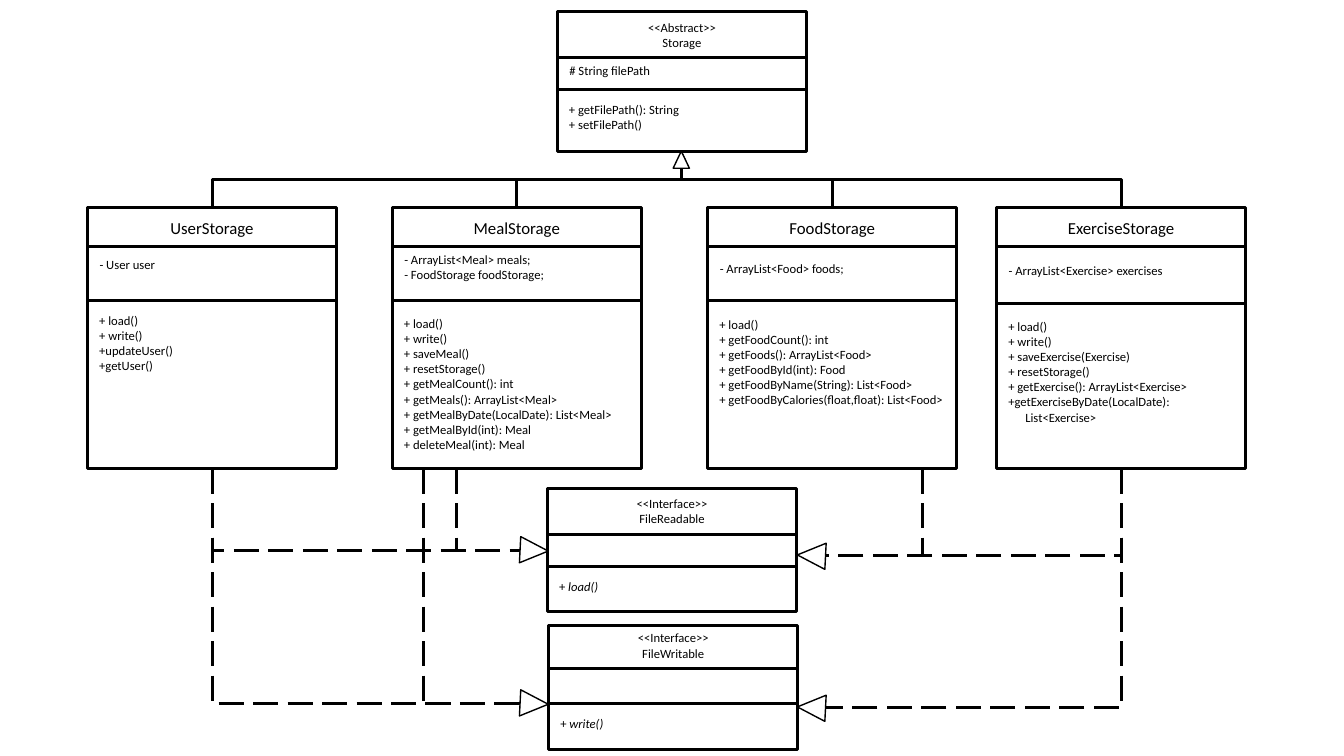
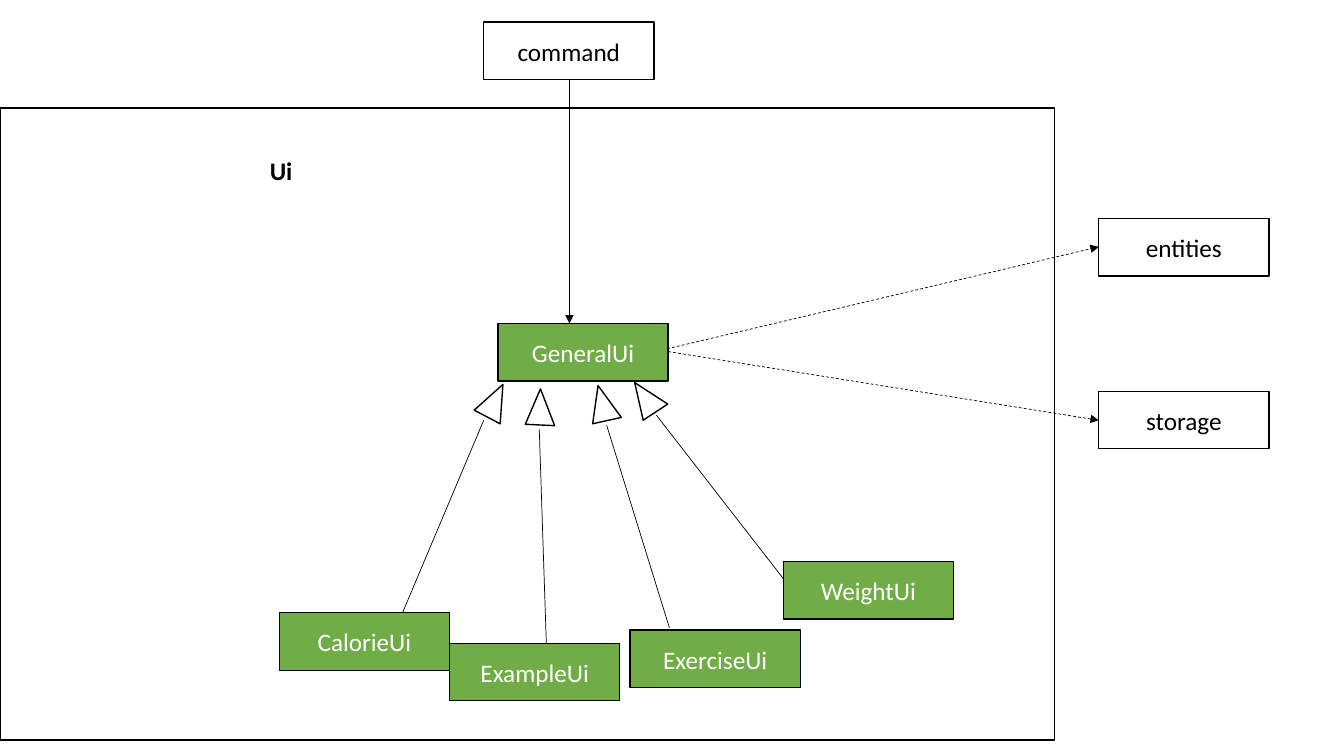
import pptx
import pptx.util
import pptx.dml.color
import pptx.enum.dml
import pptx.enum.shapes
import pptx.enum.text
import pptx.oxml.ns
import lxml.etree

Cm = pptx.util.Cm
Pt = pptx.util.Pt
Kind = pptx.enum.shapes.MSO_SHAPE
Link = pptx.enum.shapes.MSO_CONNECTOR
Dash = pptx.enum.dml.MSO_LINE
Align = pptx.enum.text.PP_ALIGN
qn = pptx.oxml.ns.qn

INK = {"black": "000000", "white": "FFFFFF", "green": "70AD47"}
FONT = "Calibri"
SMALL, MEDIUM, LARGE = 9, 12, 18
THIN, FINE, THICK = 0.5, 1, 2.25
CARD_W = 6.27
NODE_W, NODE_H = 4.29, 1.45


def tint(name):
    return pptx.dml.color.RGBColor.from_string(INK[name])


def write(frame, lines, size=SMALL, color="black", bold=False, italic=False, align=Align.LEFT):
    frame.word_wrap = True
    for i, line in enumerate(lines):
        para = frame.paragraphs[0] if i == 0 else frame.add_paragraph()
        para.alignment = align
        sign, name = (line[:2], line[2:]) if italic else (line, "")
        for part, slant in ((sign, False), (name, True)):
            if part:
                run = para.add_run()
                run.text = part
                run.font.name = FONT
                run.font.size = Pt(size)
                run.font.bold = bold
                run.font.italic = slant
                run.font.color.rgb = tint(color)


class Board:
    def __init__(self):
        self.deck = pptx.Presentation()
        self.deck.slide_width = Cm(33.87)
        self.deck.slide_height = Cm(19.05)

    def start(self):
        self.slide = self.deck.slides.add_slide(self.deck.slide_layouts[6])

    def shape(self, x, y, w, h, kind=Kind.RECTANGLE, fill="white", width=FINE, turn=0):
        item = self.slide.shapes.add_shape(kind, Cm(x), Cm(y), Cm(w), Cm(h))
        item.shadow.inherit = False
        item.fill.solid()
        item.fill.fore_color.rgb = tint(fill)
        item.line.color.rgb = tint("black")
        item.line.width = Pt(width)
        item.rotation = turn
        return item

    def head(self, x, y, w, h, turn=0):
        return self.shape(x, y, w, h, kind=Kind.ISOSCELES_TRIANGLE, turn=turn)

    def text(self, x, y, w, lines, size=SMALL, **style):
        high = 0.25 + len(lines) * size * 0.043
        item = self.slide.shapes.add_textbox(Cm(x), Cm(y), Cm(w), Cm(high))
        write(item.text_frame, lines, size=size, **style)
        return item.text_frame

    def node(self, x, y, name, fill="white", color="black"):
        frame = self.shape(x, y, NODE_W, NODE_H, fill=fill).text_frame
        frame.vertical_anchor = pptx.enum.text.MSO_ANCHOR.MIDDLE
        write(frame, [name], size=LARGE, color=color, align=Align.CENTER)

    def line(self, x1, y1, x2, y2, width=THICK, dash=None, arrow=False, link=Link.STRAIGHT):
        item = self.slide.shapes.add_connector(link, Cm(x1), Cm(y1), Cm(x2), Cm(y2))
        item.line.color.rgb = tint("black")
        item.line.width = Pt(width)
        if dash:
            item.line.dash_style = dash
        props = item._element.spPr
        if arrow:
            tail = lxml.etree.SubElement(props.find(qn("a:ln")), qn("a:tailEnd"))
            tail.set("type", "triangle")
        lxml.etree.SubElement(props, qn("a:effectLst"))
        return item

    def bend(self, x1, y1, x2, y2, corner=False, dash=None):
        right, rise = x2 > x1, y2 < y1
        mid_x, mid_y = (x1 + x2) / 2, (y1 + y2) / 2
        half_w = abs(y2 - y1) / 2 * (1 if right else -1)
        half_h = abs(x2 - x1) / 2 * (1 if rise else -1)
        item = self.line(mid_x + half_w, mid_y + half_h, mid_x - half_w, mid_y - half_h,
                         dash=dash, arrow=True, link=Link.ELBOW)
        props = item._element.spPr
        turn = 90 if right == rise else 270
        props.find(qn("a:xfrm")).set("rot", str(turn * 60000))
        if corner:
            props.find(qn("a:prstGeom")).set("prst", "bentConnector2")

    def card(self, x, y, h, cuts, title, fields, deeds, size=SMALL, italic=False):
        self.shape(x, y, CARD_W, h, width=THICK)
        for cut in cuts:
            self.line(x, cut, x + CARD_W, cut)
        title_y, names = title
        self.text(x, title_y, CARD_W, names, size=size, align=Align.CENTER)
        if fields:
            field_y, names = fields
            self.text(x + 0.05, field_y, CARD_W, names)
        deed_y, names = deeds
        return self.text(x + 0.04, deed_y, CARD_W, names, italic=italic)


def draw_base(board):
    board.card(14.05, 0.28, 3.53, cuts=(1.44, 2.25),
               title=(0.38, ["<<Abstract>>", "Storage"]),
               fields=(1.45, ["# String filePath"]),
               deeds=(2.44, ["+ getFilePath(): String", "+ setFilePath()"]))


def draw_roles(board):
    roles = (
        (13.8, 12.3, (13.46, 14.27), 12.37, "FileReadable", 14.45, "+ load()"),
        (13.83, 15.76, (16.84, 17.73), 15.76, "FileWritable", 17.91, "+ write()"),
    )
    for x, y, cuts, title_y, name, deed_y, deed in roles:
        board.card(x, y, 3.12, cuts, title=(title_y, ["<<Interface>>", name]),
                   fields=None, deeds=(deed_y, [deed]), italic=True)


STORE_Y, STORE_H = 5.23, 6.58
STORE_END = STORE_Y + STORE_H
STORES = (
    {"x": 2.21, "cut": 7.57, "name": "UserStorage",
     "fields": (6.35, ["- User user"]),
     "deeds": (7.75, ["+ load()", "+ write()", "+updateUser()", "+getUser()"])},
    {"x": 9.89, "cut": 7.57, "name": "MealStorage",
     "fields": (6.22, ["- ArrayList<Meal> meals;", "- FoodStorage foodStorage;"]),
     "deeds": (7.83, ["+ load()", "+ write()", "+ saveMeal()", "+ resetStorage()",
                      "+ getMealCount(): int",
                      "+ getMeals(): ArrayList<Meal>",
                      "+ getMealByDate(LocalDate): List<Meal>",
                      "+ getMealById(int): Meal",
                      "+ deleteMeal(int): Meal"])},
    {"x": 17.84, "cut": 7.57, "name": "FoodStorage",
     "fields": (6.44, ["- ArrayList<Food> foods;"]),
     "deeds": (7.85, ["+ load()",
                      "+ getFoodCount(): int",
                      "+ getFoods(): ArrayList<Food>",
                      "+ getFoodById(int): Food",
                      "+ getFoodByName(String): List<Food>",
                      "+ getFoodByCalories(float,float): List<Food>"])},
    {"x": 25.12, "cut": 7.65, "name": "ExerciseStorage",
     "fields": (6.5, ["- ArrayList<Exercise> exercises"]),
     "deeds": (7.9, ["+ load()", "+ write()", "+ saveExercise(Exercise)",
                     "+ resetStorage()",
                     "+ getExercise(): ArrayList<Exercise>",
                     "+getExerciseByDate(LocalDate):",
                     "List<Exercise>"])},
)


def draw_stores(board):
    tip_x, tip_y = 17.17, 3.81
    for store in STORES:
        frame = board.card(store["x"], STORE_Y, STORE_H, cuts=(6.21, store["cut"]),
                           title=(5.36, [store["name"]]), fields=store["fields"],
                           deeds=store["deeds"], size=MEDIUM)
        for para in frame.paragraphs:
            if para.text == "List<Exercise>":
                para._p.get_or_add_pPr().set("marL", str(Cm(0.43)))
        board.bend(store["x"] + CARD_W / 2, STORE_Y, tip_x, tip_y)
    head_w = 0.41
    board.head(tip_x - head_w / 2, tip_y, head_w, 0.43)


def draw_links(board):
    head_w, head_h = 0.66, 0.71
    read_left, read_right = 13.87, 14
    write_left, write_right = 17.73, 17.83
    left_tip, right_tip = 13.79, 20.12
    user_x = STORES[0]["x"] + CARD_W / 2
    sport_x = STORES[-1]["x"] + CARD_W / 2
    sides = (
        (user_x, left_tip, left_tip - head_w, 92.8, (read_left, write_left)),
        (sport_x, right_tip, right_tip, 272.8, (read_right, write_right)),
    )
    for x, tip_x, head_x, turn, levels in sides:
        for y in levels:
            board.bend(x, STORE_END, tip_x, y, corner=True, dash=Dash.LONG_DASH)
            board.head(head_x, y - head_h / 2, head_w, head_h, turn)
    meal_read, meal_write, food_read = 11.51, 10.67, 23.24
    for x, y in ((meal_read, read_left), (meal_write, write_left), (food_read, read_right)):
        board.line(x, STORE_END, x, y, dash=Dash.LONG_DASH)


def draw_ui(board):
    board.shape(0, 2.72, 26.57, 15.93)
    board.text(6.55, 3.78, 6.93, ["Ui"], size=LARGE, bold=True)

    kids = (
        ((19.84, 14.71, 16.54, 10.46), (15.9, 9.55), 326.8),
        ((13.77, 16.28, 13.59, 10.82), (13.26, 9.8), 2.7),
        ((10.11, 15.52, 12.19, 10.59), (12.12, 9.65), 27.7),
        ((16.87, 15.82, 15.29, 10.72), (14.83, 9.7), 347.6),
    )
    for ends, spot, turn in kids:
        board.line(*ends, width=THIN)
        board.head(*spot, 0.74, 0.91, turn).adjustments[0] = 0.46

    outer = ((12.19, 0.56, "command"), (27.69, 9.86, "storage"), (27.69, 5.51, "entities"))
    for x, y, name in outer:
        board.node(x, y, name)
    inner = ((12.55, 8.15, "GeneralUi"), (11.33, 16.21, "ExampleUi"),
             (7.04, 15.44, "CalorieUi"), (15.88, 15.88, "ExerciseUi"),
             (19.74, 14.15, "WeightUi"))
    for x, y, name in inner:
        board.node(x, y, name, fill="green", color="white")

    calls = (((14.35, 2.01, 14.35, 8.15), None),
             ((16.81, 8.79, 27.69, 6.22), Dash.DASH),
             ((16.84, 8.86, 27.69, 10.59), Dash.DASH))
    for ends, dash in calls:
        board.line(*ends, width=THIN, dash=dash, arrow=True)


board = Board()

board.start()
for draw in (draw_base, draw_roles, draw_stores, draw_links):
    draw(board)

board.start()
draw_ui(board)

board.deck.save("out.pptx")
